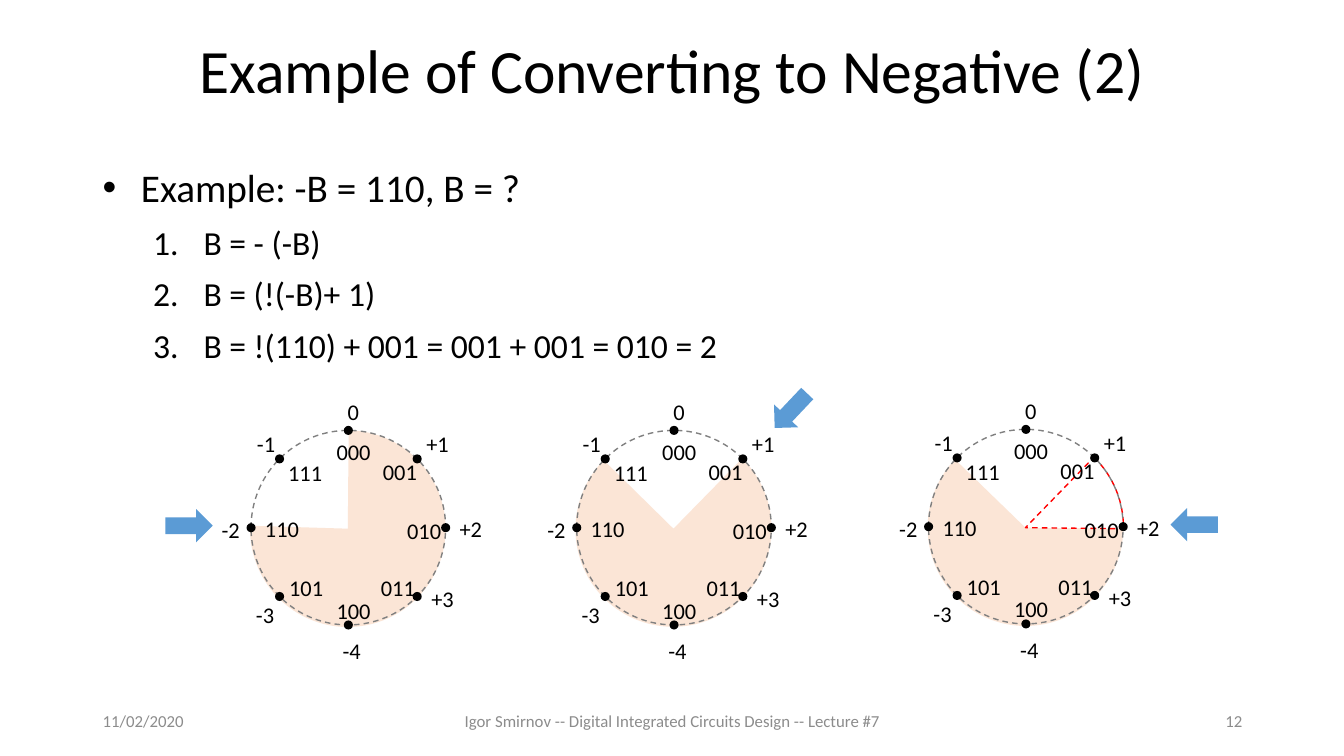
"""Build the slide that converts a negative number on three two's complement dials."""
import math
from dataclasses import dataclass

from lxml import etree
from pptx import Presentation
from pptx import util as u
from pptx.dml.color import RGBColor
from pptx.enum import dml, shapes, text
from pptx.oxml.ns import qn

RADIUS, DOT = 0.965, 0.09
BLACK, GRAY, PEACH, RED, BLUE = "000000", "8C8C8C", "FBE5D6", "FF0000", "5B9BD5"
LABEL_WIDTHS = {"bits": 0.54, "plus": 0.43, "minus": 0.38, "zero": 0.32}


@dataclass
class Wedge:
    dx: float
    start: float
    end: float
    rotation: float = 0
    fill: str = PEACH
    outline: str | None = None


@dataclass
class Dial:
    left: float
    top: float
    wedges: list[Wedge]


@dataclass
class Label:
    wording: str
    dx: float
    dy: float
    kind: str = "bits"


@dataclass
class Pointer:
    left: float
    top: float
    rotation: float


@dataclass
class Step:
    wording: str
    size: int
    before: int
    margin: float
    hanging: float
    level: int


@dataclass
class Footer:
    wording: str
    left: float
    width: float
    align: text.PP_ALIGN


DIALS = [
    Dial(2.49, 4.27, [Wedge(-0.01, 162.298, 109.051)]),
    Dial(5.72, 4.27, [Wedge(-0.01, 57.218, 3.292, 219)]),
    Dial(9.21, 4.26, [Wedge(-0.01, 83.068, 28.682, 176.3),
                      Wedge(-0.01, 162.298, 190.158, 43.7, "FFFFFF", RED)]),
]
LABELS = [
    Label("000", 0.75, 0.03), Label("001", 1.21, 0.23), Label("111", 0.27, 0.24),
    Label("010", 1.45, 0.81), Label("011", 1.19, 1.38), Label("101", 0.28, 1.38),
    Label("100", 0.75, 1.6), Label("110", 0.04, 0.79),
    Label("+1", 1.64, -0.05, "plus"), Label("0", 0.86, -0.37, "zero"),
    Label("+2", 1.97, 0.79, "plus"), Label("+3", 1.69, 1.49, "plus"),
    Label("-4", 0.81, 2, "minus"), Label("-3", -0.05, 1.64, "minus"),
    Label("-2", -0.39, 0.8, "minus"), Label("-1", -0.04, -0.05, "minus"),
]
POINTERS = [Pointer(11.68, 4.97, 90), Pointer(7.68, 3.84, 43.4), Pointer(1.71, 4.98, 270)]
STEPS = [
    Step("Example: -B = 110, B = ?", 28, 18, 0.38, -0.38, 0),
    Step("B = - (-B)", 24, 8, 1, -0.5, 1),
    Step("B = (!(-B)+ 1)", 24, 8, 1, -0.5, 1),
    Step("B = !(110) + 001 = 001 + 001 = 010 = 2", 24, 8, 1, -0.5, 1),
]
FOOTERS = [
    Footer("11/02/2020", 0.92, 3, text.PP_ALIGN.LEFT),
    Footer("Igor Smirnov -- Digital Integrated Circuits Design -- Lecture #7",
           4.42, 4.5, text.PP_ALIGN.CENTER),
    Footer("12", 9.42, 3, text.PP_ALIGN.RIGHT),
]


def color(hex_code: str) -> RGBColor:
    return RGBColor.from_string(hex_code)


def assign(target, values: dict) -> None:
    for name, value in values.items():
        setattr(target, name, value)


def write(paragraph, wording: str, size: int, ink: str = BLACK, **layout) -> None:
    run = paragraph.add_run()
    run.text = wording
    assign(run.font, {"size": u.Pt(size), "name": "Calibri"})
    run.font.color.rgb = color(ink)
    assign(paragraph, layout)


def add_text_frame(slide, left: float, top: float, width: float, height: float, **layout):
    frame = slide.shapes.add_textbox(*map(u.Inches, (left, top, width, height))).text_frame
    assign(frame, {"word_wrap": True, **layout})
    return frame


def add_figure(slide, kind, left: float, top: float, width: float, height: float,
               fill: str | None = None, outline: str | None = None, rotation: float = 0):
    figure = slide.shapes.add_shape(kind, *map(u.Inches, (left, top, width, height)))
    figure.shadow.inherit = False
    figure.rotation = rotation
    if fill:
        figure.fill.solid()
        figure.fill.fore_color.rgb = color(fill)
    else:
        figure.fill.background()
    if outline:
        figure.line.color.rgb = color(outline)
        assign(figure.line, {"width": u.Pt(1), "dash_style": dml.MSO_LINE.DASH})
    else:
        figure.line.fill.background()
    return figure


def add_dial(slide, dial: Dial) -> None:
    for wedge in dial.wedges:
        pie = add_figure(slide, shapes.MSO_SHAPE.PIE, dial.left + wedge.dx, dial.top,
                         1.94, 1.95, wedge.fill, wedge.outline, wedge.rotation)
        pie.adjustments[0], pie.adjustments[1] = wedge.start, wedge.end
    add_figure(slide, shapes.MSO_SHAPE.OVAL, dial.left, dial.top,
               2 * RADIUS, 2 * RADIUS, outline="808080")
    for eighth in range(8):
        angle = eighth * math.pi / 4
        add_figure(slide, shapes.MSO_SHAPE.OVAL,
                   dial.left + RADIUS * (1 + math.cos(angle)) - DOT / 2,
                   dial.top + RADIUS * (1 + math.sin(angle)) - DOT / 2, DOT, DOT, BLACK)
    for label in LABELS:
        frame = add_text_frame(slide, dial.left + label.dx, dial.top + label.dy,
                               LABEL_WIDTHS[label.kind], 0.37, word_wrap=False,
                               auto_size=text.MSO_AUTO_SIZE.SHAPE_TO_FIT_TEXT)
        write(frame.paragraphs[0], label.wording, 16)


def add_steps(slide) -> None:
    frame = add_text_frame(slide, 0.92, 1.57, 6.45, 2.27)
    for index, step in enumerate(STEPS):
        paragraph = frame.add_paragraph() if index else frame.paragraphs[0]
        write(paragraph, step.wording, step.size, level=step.level,
              space_before=u.Pt(step.before))
        properties = paragraph._p.get_or_add_pPr()
        properties.set("marL", str(u.Inches(step.margin)))
        properties.set("indent", str(u.Inches(step.hanging)))
        if step.level:
            etree.SubElement(properties, qn("a:buAutoNum"), type="arabicPeriod")
        else:
            etree.SubElement(properties, qn("a:buFont"), typeface="Arial")
            etree.SubElement(properties, qn("a:buChar"), char="•")


def main() -> None:
    deck = Presentation()
    assign(deck, {"slide_width": u.Inches(13.33), "slide_height": u.Inches(7.5)})
    slide = deck.slides.add_slide(deck.slide_layouts[5])
    title = slide.shapes.title
    assign(title, {"left": u.Inches(0.92), "top": u.Inches(0),
                   "width": u.Inches(11.5), "height": u.Inches(1.45)})
    title.text_frame.vertical_anchor = text.MSO_ANCHOR.MIDDLE
    write(title.text_frame.paragraphs[0], "Example of Converting to Negative (2)", 44,
          alignment=text.PP_ALIGN.CENTER, line_spacing=0.9)
    for footer in FOOTERS:
        frame = add_text_frame(slide, footer.left, 6.95, footer.width, 0.4,
                               vertical_anchor=text.MSO_ANCHOR.MIDDLE)
        write(frame.paragraphs[0], footer.wording, 12, GRAY, alignment=footer.align)
    add_steps(slide)
    for dial in DIALS:
        add_dial(slide, dial)
    for pointer in POINTERS:
        add_figure(slide, shapes.MSO_SHAPE.DOWN_ARROW, pointer.left, pointer.top,
                   0.33, 0.47, BLUE, rotation=pointer.rotation)
    deck.save("out.pptx")


if __name__ == "__main__":
    main()
